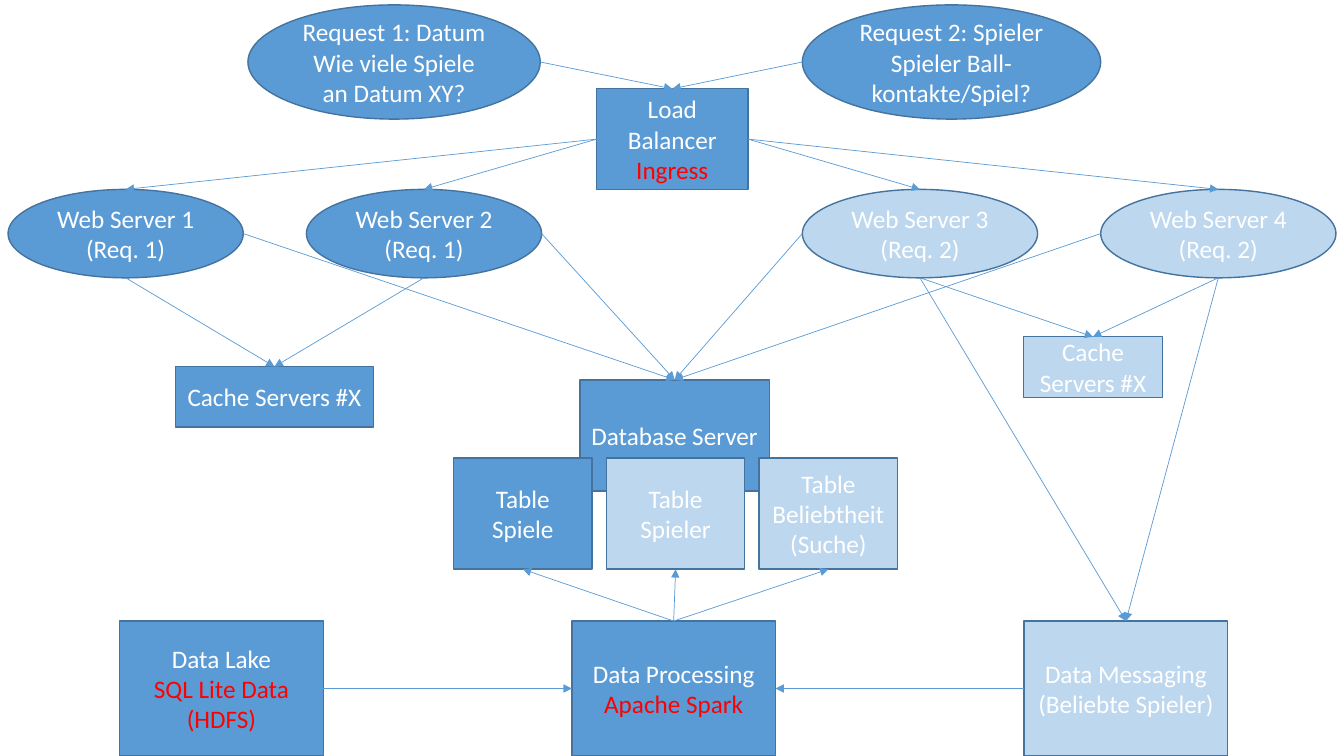
from dataclasses import dataclass

from lxml.etree import SubElement
from pptx import Presentation
from pptx.dml.color import RGBColor
from pptx.enum.shapes import MSO_CONNECTOR, MSO_SHAPE
from pptx.enum.text import MSO_ANCHOR, PP_ALIGN
from pptx.oxml.ns import qn
from pptx.util import Inches, Pt

WIDTH, HEIGHT = Inches(13.333), Inches(7.5)
COL, ROW = WIDTH / 100, HEIGHT / 100  # the slide is a grid of 100 by 100


@dataclass(frozen=True)
class Theme:
    request_1: RGBColor = RGBColor.from_string("5B9BD5")
    request_2: RGBColor = RGBColor.from_string("BDD7EE")
    outline: RGBColor = RGBColor.from_string("43739E")
    arrow: RGBColor = RGBColor.from_string("5B9BD5")
    label: RGBColor = RGBColor.from_string("FFFFFF")
    technology: RGBColor = RGBColor.from_string("FF0000")
    font: str = "Calibri"
    size: Pt = Pt(18)
    outline_width: Pt = Pt(1)
    arrow_width: Pt = Pt(0.5)


THEME = Theme()


@dataclass(frozen=True)
class Area:
    """A box in columns and rows of the slide grid."""
    x: float
    y: float
    w: float
    h: float

    def inner(self, x, y, w, h):
        """Return a box placed from this box's top left corner."""
        return Area(self.x + x, self.y + y, w, h)


def add_node(slide, area, labels, technologies=(), kind=MSO_SHAPE.RECTANGLE,
             fill=THEME.request_1):
    """Draw a filled shape with one paragraph per label, technologies in red."""
    node = slide.shapes.add_shape(
        kind, round(area.x * COL), round(area.y * ROW),
        round(area.w * COL), round(area.h * ROW))
    node.shadow.inherit = False
    node.fill.solid()
    node.fill.fore_color.rgb = fill
    node.line.color.rgb = THEME.outline
    node.line.width = THEME.outline_width
    frame = node.text_frame
    frame.word_wrap = True
    frame.vertical_anchor = MSO_ANCHOR.MIDDLE
    colored = [(label, THEME.label) for label in labels]
    colored += [(name, THEME.technology) for name in technologies]
    for i, (text, color) in enumerate(colored):
        paragraph = frame.add_paragraph() if i else frame.paragraphs[0]
        paragraph.text = text
        paragraph.alignment = PP_ALIGN.CENTER
        for run in paragraph.runs:
            for name, value in {"name": THEME.font, "size": THEME.size}.items():
                setattr(run.font, name, value)
            run.font.color.rgb = color
    return node


def edge(node, side):
    """Return the middle point of one side of a node."""
    across, down = {"top": (0.5, 0), "bottom": (0.5, 1),
                    "left": (0, 0.5), "right": (1, 0.5)}[side]
    return (round(node.left + across * node.width),
            round(node.top + down * node.height))


def add_arrow(slide, source, source_side, target, target_side):
    arrow = slide.shapes.add_connector(
        MSO_CONNECTOR.STRAIGHT,
        *edge(source, source_side), *edge(target, target_side))
    arrow.line.color.rgb = THEME.arrow
    arrow.line.width = THEME.arrow_width
    properties = arrow._element.spPr
    SubElement(properties.find(qn("a:ln")), qn("a:tailEnd"), type="triangle")
    SubElement(properties, qn("a:effectLst"))


def add_entry(slide, area):
    """Draw the two requests and the load balancer they reach."""
    oval = MSO_SHAPE.OVAL
    datum = add_node(slide, area.inner(18.45, 0, 21.75, 15.1),
                     ["Request 1: Datum\vWie viele Spiele an Datum XY?"], kind=oval)
    spieler = add_node(slide, area.inner(59.7, 0, 22.2, 15.1),
                       ["Request 2: Spieler", "Spieler Ball-kontakte/Spiel?"], kind=oval)
    balancer = add_node(slide, area.inner(44.4, 11.1, 11.25, 13.3),
                        ["Load Balancer"], ["Ingress"])
    add_arrow(slide, datum, "right", balancer, "top")
    add_arrow(slide, spieler, "left", balancer, "top")
    return balancer


def add_web_servers(slide, area, first, request, fill):
    """Draw the two servers that answer one kind of request."""
    return [add_node(slide, area.inner(i * 22.2, 0, 17.5, area.h),
                     [f"Web Server {first + i}\v(Req. {request})"],
                     kind=MSO_SHAPE.OVAL, fill=fill) for i in range(2)]


def add_cache(slide, area, servers, fill):
    cache = add_node(slide, area, ["Cache Servers #X"], fill=fill)
    for server in servers:
        add_arrow(slide, server, "bottom", cache, "top")


def add_database(slide, area):
    """Draw the database server with its three tables in front."""
    database = add_node(slide, area.inner(9.4, 0, 14.1, 14.7), ["Database Server"])
    contents = [("Spiele", THEME.request_1), ("Spieler", THEME.request_2),
                ("Beliebtheit (Suche)", THEME.request_2)]
    tables = [add_node(slide, area.inner(i * 11.37, 10.35, 10.3, 14.7),
                       [f"Table {content}"], fill=fill)
              for i, (content, fill) in enumerate(contents)]
    return database, tables


def add_data_sources(slide, area):
    """Draw lake, processing and messaging in a row."""
    sources = [
        (["Data Lake"], ["SQL Lite Data", "(HDFS)"], THEME.request_1),
        (["Data Processing"], ["Apache Spark"], THEME.request_1),
        (["Data Messaging\v(Beliebte Spieler)"], [], THEME.request_2),
    ]
    lake, processing, messaging = [
        add_node(slide, area.inner(i * 33.65, 0, 15.15, area.h),
                 labels, technologies, fill=fill)
        for i, (labels, technologies, fill) in enumerate(sources)]
    add_arrow(slide, lake, "right", processing, "left")
    add_arrow(slide, messaging, "left", processing, "right")
    return processing, messaging


def add_architecture(slide):
    balancer = add_entry(slide, Area(0, 0.65, 100, 24.4))
    left_servers = add_web_servers(
        slide, Area(0.6, 25.05, 39.7, 11.7), 1, 1, THEME.request_1)
    right_servers = add_web_servers(
        slide, Area(59.7, 25.05, 39.7, 11.7), 3, 2, THEME.request_2)
    add_cache(slide, Area(13.05, 48.5, 14.75, 8), left_servers, THEME.request_1)
    add_cache(slide, Area(76.15, 44.55, 10.35, 8), right_servers, THEME.request_2)
    database, tables = add_database(slide, Area(33.75, 50.25, 33.04, 25.05))
    processing, messaging = add_data_sources(slide, Area(8.9, 82.15, 82.45, 17.85))

    for servers, balancer_side, server_side in (
            (left_servers, "left", "right"), (right_servers, "right", "left")):
        for server in servers:
            add_arrow(slide, balancer, balancer_side, server, "top")
            add_arrow(slide, server, server_side, database, "top")
    for server in right_servers:
        add_arrow(slide, server, "bottom", messaging, "top")
    for table in tables:
        add_arrow(slide, processing, "top", table, "bottom")


def main():
    deck = Presentation()
    deck.slide_width, deck.slide_height = WIDTH, HEIGHT
    add_architecture(deck.slides.add_slide(deck.slide_layouts[6]))
    deck.save("out.pptx")


if __name__ == "__main__":
    main()
